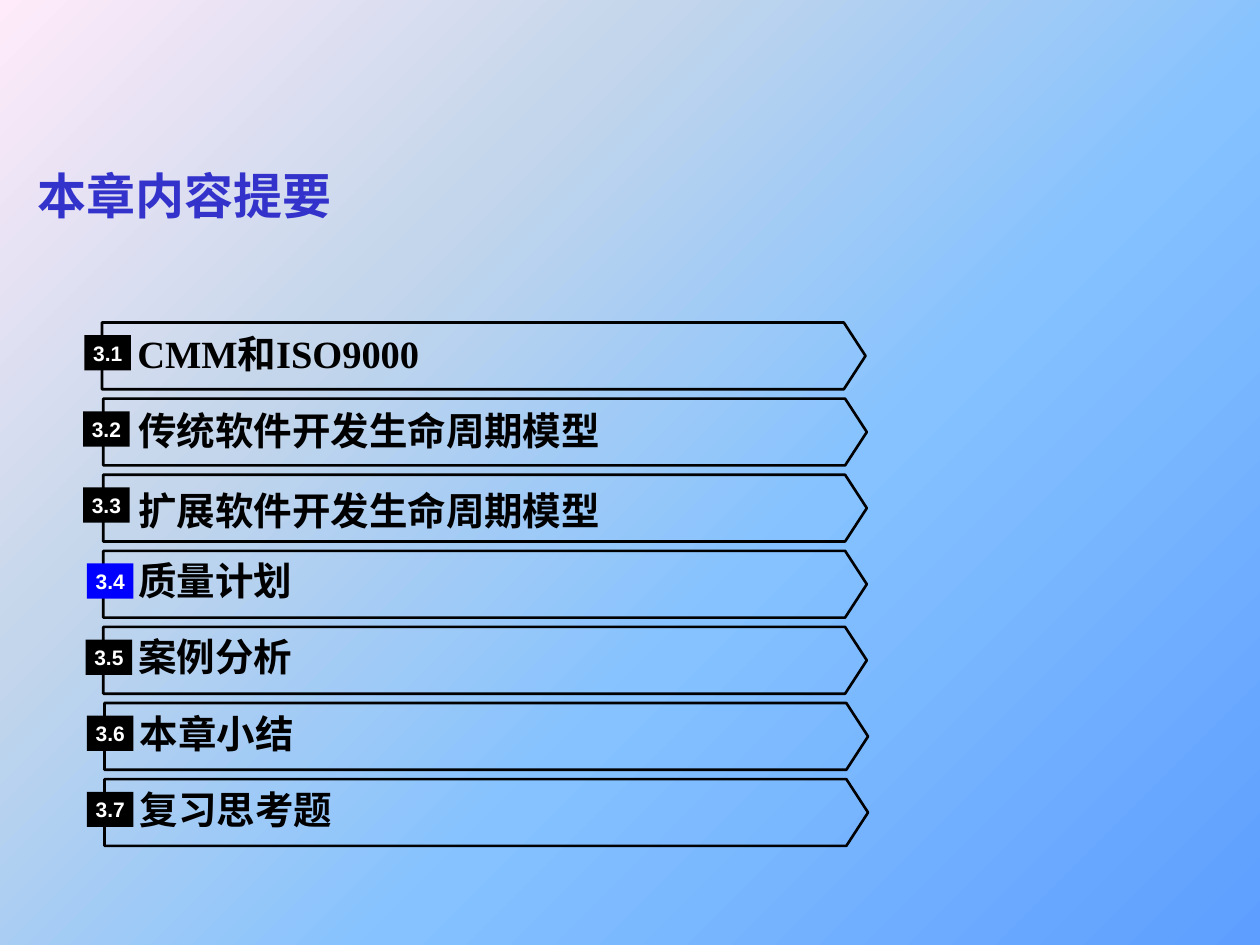
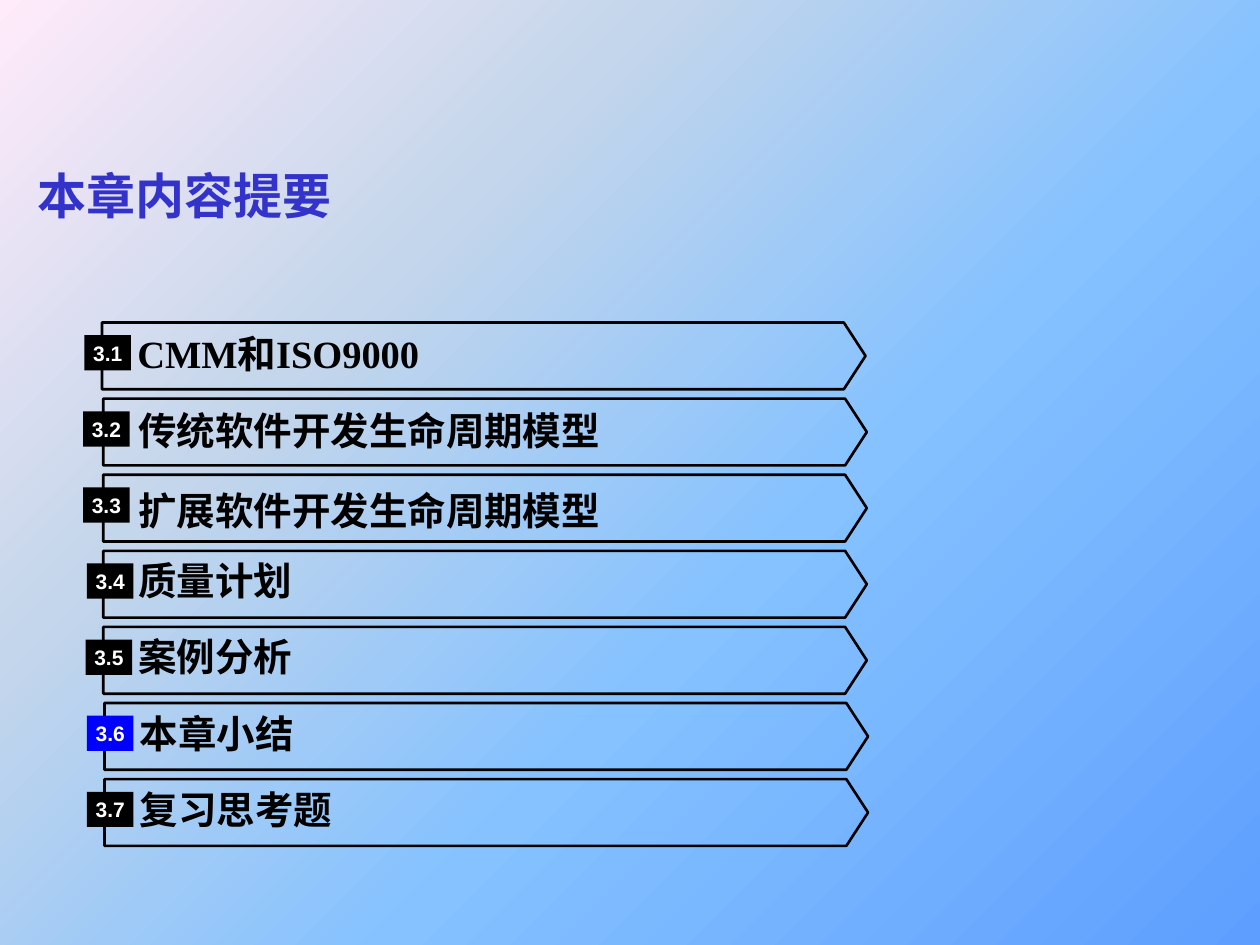
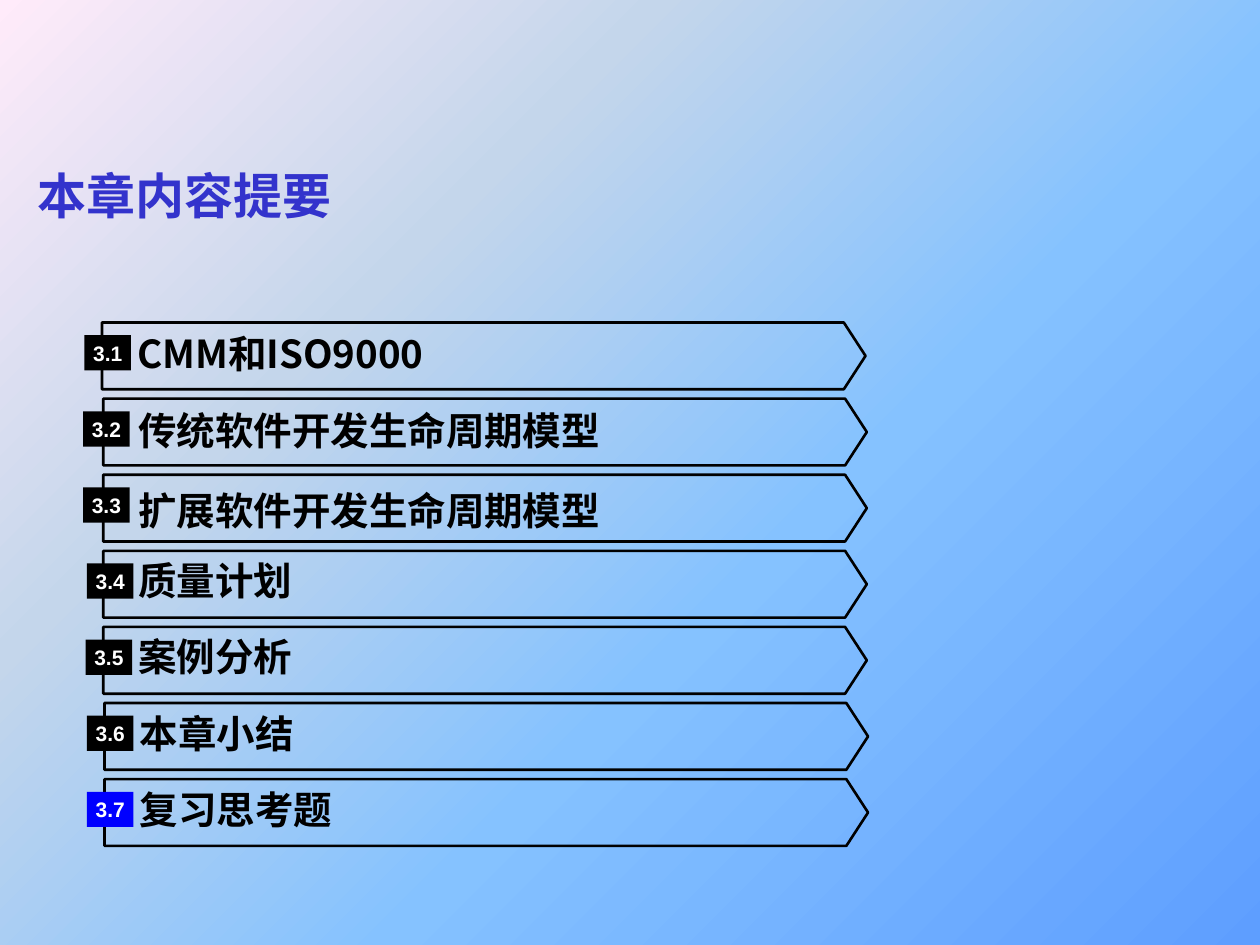
from copy import deepcopy

from pptx import Presentation
from pptx.dml.color import RGBColor
from pptx.enum.shapes import MSO_SHAPE
from pptx.enum.text import MSO_ANCHOR, MSO_AUTO_SIZE, PP_ALIGN
from pptx.oxml import parse_xml
from pptx.oxml.ns import nsdecls, qn
from pptx.util import Inches, Pt

COLORS = {
    "title": "3333CC",
    "ink": "000000",
    "badge_text": "FFFFFF",
    "current": "0000FF",
}
BACKDROP = [(0, "5E9EFF"), (40, "85C2FF"), (70, "C4D6EB"), (100, "FFEBFA")]

# Agenda grid, in inches
FIRST_TOP, ROW_STEP = 2.56, 0.604
BAR_WIDTH, BAR_HEIGHT = 6.06, 0.53
BADGE_WIDTH, BADGE_HEIGHT, BADGE_DROP = 0.37, 0.28, 0.1
LABEL_INDENT, LABEL_WIDTH, LABEL_HEIGHT = 0.28, 5.38, 0.4

# Section name, left of its bar, left of its badge, drop of its label
SECTIONS = [
    ("CMM和ISO9000", 0.81, 0.67, 0.04),
    ("传统软件开发生命周期模型", 0.82, 0.66, 0.05),
    ("扩展软件开发生命周期模型", 0.82, 0.66, 0.08),
    ("质量计划", 0.82, 0.69, 0.03),
    ("案例分析", 0.82, 0.68, 0.03),
    ("本章小结", 0.83, 0.69, 0.04),
    ("复习思考题", 0.83, 0.69, 0.04),
]
# Current section and label font of each slide
AGENDAS = [
    (4, "Times New Roman"),
    (6, "Times New Roman"),
    (7, "Noto Sans CJK SC"),
]


def color(name):
    return RGBColor.from_string(COLORS[name])


def set_font(paragraph, name, size, ink):
    font = paragraph.font
    font.name, font.size, font.bold = name, Pt(size), True
    font.color.rgb = color(ink)


def set_backdrop(master):
    """Give every slide the diagonal gradient."""
    fill = master.background.fill
    fill.gradient()
    fill.gradient_angle = 135
    stops = master.element.find(".//" + qn("a:gsLst"))
    template = deepcopy(stops[0])
    for stop in list(stops):
        stops.remove(stop)
    for _ in BACKDROP:
        stops.append(deepcopy(template))
    for stop, (position, shade) in zip(stops, BACKDROP):
        stop.set("pos", str(position * 1000))
        for old in list(stop):
            stop.remove(old)
        stop.append(parse_xml(f'<a:srgbClr {nsdecls("a")} val="{shade}"/>'))


def add_title(slide, text):
    title = slide.shapes.title
    title.left, title.top = Inches(0.2), Inches(1.15)
    title.width, title.height = Inches(9.61), Inches(0.79)
    frame = title.text_frame
    frame.text = text
    frame.vertical_anchor = MSO_ANCHOR.MIDDLE
    paragraph = frame.paragraphs[0]
    paragraph.alignment = PP_ALIGN.LEFT
    set_font(paragraph, "Arial", 28, "title")
    # Hanging indent and proportional space before
    properties = paragraph._p.get_or_add_pPr()
    properties.set("marL", str(Inches(0.38)))
    properties.set("indent", str(-Inches(0.38)))
    properties.insert(0, parse_xml(
        f'<a:spcBef {nsdecls("a")}><a:spcPct val="20000"/></a:spcBef>'))


def write_line(shape, text, align, font, size, ink):
    """Write one vertically centred line without insets."""
    frame = shape.text_frame
    frame.margin_left = frame.margin_right = 0
    frame.margin_top = frame.margin_bottom = 0
    frame.word_wrap = True
    frame.vertical_anchor = MSO_ANCHOR.MIDDLE
    frame.text = text
    paragraph = frame.paragraphs[0]
    paragraph.alignment = align
    set_font(paragraph, font, size, ink)


def add_bar(slide, left, top):
    bar = slide.shapes.add_shape(
        MSO_SHAPE.PENTAGON, Inches(left), Inches(top),
        Inches(BAR_WIDTH), Inches(BAR_HEIGHT))
    bar.adjustments[0] = 0.325
    bar.shadow.inherit = False
    bar.fill.background()
    bar.line.color.rgb = color("ink")
    bar.line.width = Pt(1.5)


def add_label(slide, left, top, text, font):
    label = slide.shapes.add_textbox(
        Inches(left), Inches(top), Inches(LABEL_WIDTH), Inches(LABEL_HEIGHT))
    write_line(label, text, PP_ALIGN.LEFT, font, 22, "ink")
    label.text_frame.auto_size = MSO_AUTO_SIZE.SHAPE_TO_FIT_TEXT


def add_badge(slide, left, top, text, fill):
    badge = slide.shapes.add_shape(
        MSO_SHAPE.RECTANGLE, Inches(left), Inches(top),
        Inches(BADGE_WIDTH), Inches(BADGE_HEIGHT))
    badge.shadow.inherit = False
    badge.fill.solid()
    badge.fill.fore_color.rgb = color(fill)
    badge.line.fill.background()
    write_line(badge, text, PP_ALIGN.CENTER, "Arial", 12, "badge_text")


def add_agenda(slide, current, label_font):
    for number, (name, bar_left, badge_left, drop) in enumerate(SECTIONS, 1):
        top = FIRST_TOP + (number - 1) * ROW_STEP
        add_bar(slide, bar_left, top)
        add_label(slide, bar_left + LABEL_INDENT, top + drop, name, label_font)
        add_badge(slide, badge_left, top + BADGE_DROP, f"3.{number}",
                  "current" if number == current else "ink")


def main():
    deck = Presentation()
    deck.slide_width, deck.slide_height = Inches(10), Inches(7.5)
    set_backdrop(deck.slide_master)
    title_only = deck.slide_layouts[5]
    for current, label_font in AGENDAS:
        slide = deck.slides.add_slide(title_only)
        add_title(slide, "本章内容提要")
        add_agenda(slide, current, label_font)
    deck.save("out.pptx")


if __name__ == "__main__":
    main()
